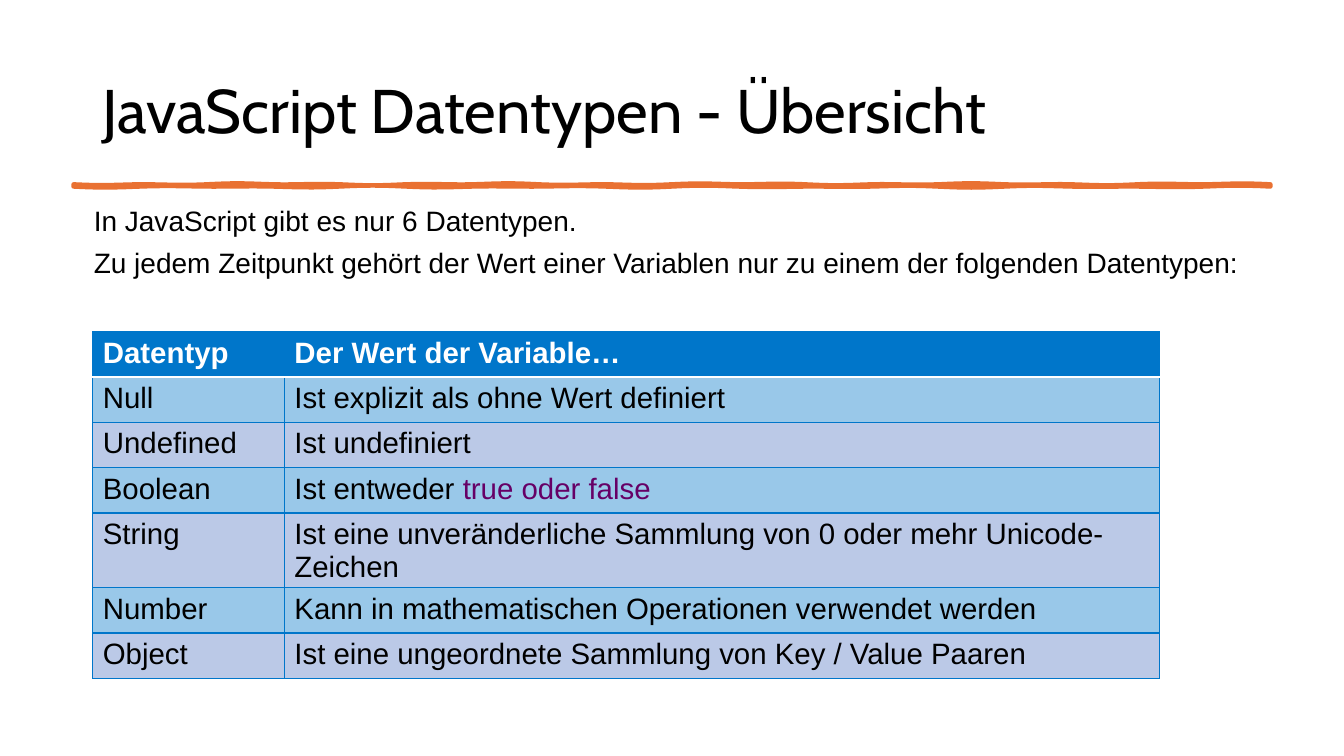
"""Build a slide that lists the JavaScript data types in a table."""
import math

import pptx
import pptx.dml.color
import pptx.enum.text
import pptx.oxml.ns
import pptx.util
from lxml import etree

Inches = pptx.util.Inches
Pt = pptx.util.Pt
RGB = pptx.dml.color.RGBColor
Anchor = pptx.enum.text.MSO_ANCHOR
Align = pptx.enum.text.PP_ALIGN
qn = pptx.oxml.ns.qn

BLACK = RGB(0, 0, 0)
WHITE = RGB(255, 255, 255)
BLUE = RGB(0x00, 0x76, 0xCA)
PALE = RGB(0xBB, 0xC9, 0xE7)
PURPLE = RGB(0x66, 0x00, 0x66)
ORANGE = RGB(0xE9, 0x71, 0x32)

TITLE = "JavaScript Datentypen - Übersicht"
INTRO = [
    "In JavaScript gibt es nur 6 Datentypen.",
    "Zu jedem Zeitpunkt gehört der Wert einer Variablen nur zu einem der folgenden Datentypen:",
]
HEADS = ("Datentyp", "Der Wert der Variable…")
TYPES = [
    ("Null", "Ist explizit als ohne Wert definiert"),
    ("Undefined", "Ist undefiniert"),
    ("Boolean", "Ist entweder ", "true oder false"),
    ("String", "Ist eine unveränderliche Sammlung von 0 oder mehr Unicode-Zeichen"),
    ("Number", "Kann in mathematischen Operationen verwendet werden"),
    ("Object", "Ist eine ungeordnete Sammlung von Key / Value Paaren"),
]

LEFT = 0.92
WIDTHS = (1.9, 8.68)
ROW = 0.45
TALL = 0.74
TALL_TYPE = "String"

WAVE = {"left": 0.73, "right": 12.6, "top": 1.83, "thick": 0.02}
STEPS = 120
SWING = 0.01
TOP_WAVES = (5, 13)
LOW_WAVES = (7, 11)

INTRO_BOX = {"margin_left": 0, "margin_right": 0, "margin_bottom": 0,
             "margin_top": Inches(0.1), "word_wrap": True,
             "vertical_anchor": Anchor.TOP}
CELL_BOX = {"margin_left": Inches(0.1), "margin_right": 0,
            "margin_bottom": 0, "margin_top": Inches(0.05),
            "vertical_anchor": Anchor.TOP}
TITLE_FONT = {"name": "Cabin", "size": Pt(44)}
INTRO_FONT = {"name": "Arial", "size": Pt(20)}
HEAD_FONT = {"name": "Arial", "size": Pt(21), "bold": True}
CELL_FONT = {"name": "Arial", "size": Pt(21), "bold": False}


def apply(item, form):
    for name, value in form.items():
        setattr(item, name, value)


def place(shape, left, top, width, height):
    apply(shape, {"left": Inches(left), "top": Inches(top),
                  "width": Inches(width), "height": Inches(height)})


def write(para, text, form, color=BLACK):
    run = para.add_run()
    run.text = text
    apply(run.font, form)
    run.font.color.rgb = color


def add_title(slide):
    title = slide.shapes.title
    place(title, LEFT, 0.4, 11.5, 1.45)
    title.text_frame.vertical_anchor = Anchor.MIDDLE
    para = title.text_frame.paragraphs[0]
    apply(para, {"alignment": Align.LEFT, "line_spacing": 0.9})
    write(para, TITLE, TITLE_FONT)


def wavy_edge(base, waves):
    """Sample a horizontal edge that swings as a sum of sine waves."""
    span = WAVE["right"] - WAVE["left"]
    edge = []
    for step in range(STEPS + 1):
        part = step / STEPS
        swing = sum(math.sin(2 * math.pi * count * part) for count in waves)
        edge.append((Inches(WAVE["left"] + span * part),
                     Inches(base + SWING * swing / len(waves))))
    return edge


def add_wave(slide):
    top = wavy_edge(WAVE["top"], TOP_WAVES)
    low = wavy_edge(WAVE["top"] + WAVE["thick"], LOW_WAVES)
    build = slide.shapes.build_freeform(*top[0])
    build.add_line_segments(top[1:] + low[::-1], close=True)
    wave = build.convert_to_shape()
    wave.shadow.inherit = False
    wave.fill.solid()
    wave.fill.fore_color.rgb = ORANGE
    wave.line.color.rgb = ORANGE
    wave.line.width = Pt(3.25)


def add_intro(slide):
    body = slide.placeholders[1]
    place(body, LEFT, 1.92, 11.72, 0.86)
    frame = body.text_frame
    apply(frame, INTRO_BOX)
    for index, text in enumerate(INTRO):
        para = frame.add_paragraph() if index else frame.paragraphs[0]
        props = para._p.get_or_add_pPr()
        props.set("marL", str(Inches(0.01)))
        props.set("indent", "0")
        etree.SubElement(props, qn("a:buNone"))
        para.space_before = Pt(6 if index else 0)
        write(para, text, INTRO_FONT)


def add_border(cell, side, color, width):
    props = cell._tc.get_or_add_tcPr()
    line = etree.SubElement(props, qn("a:ln" + side), w=str(Pt(width)))
    fill = etree.SubElement(line, qn("a:solidFill"))
    etree.SubElement(fill, qn("a:srgbClr"), val=str(color))


def frame_cell(cell, white_side):
    for side in "LRTB":
        if side == white_side:
            add_border(cell, side, WHITE, 1.5)
        else:
            add_border(cell, side, BLUE, 1)


def fill_cell(cell, color, alpha=100):
    cell.fill.solid()
    cell.fill.fore_color.rgb = color
    if alpha < 100:
        tint = cell._tc.tcPr.find(qn("a:solidFill")).find(qn("a:srgbClr"))
        etree.SubElement(tint, qn("a:alpha"), val=str(alpha * 1000))


def add_head(table):
    for col, text in enumerate(HEADS):
        cell = table.cell(0, col)
        apply(cell, CELL_BOX)
        frame_cell(cell, "B")
        fill_cell(cell, BLUE)
        write(cell.text_frame.paragraphs[0], text, HEAD_FONT, WHITE)


def add_type(table, row, name, text, code=""):
    for col, words in enumerate((name, text)):
        cell = table.cell(row, col)
        apply(cell, CELL_BOX)
        frame_cell(cell, "T" if row == 1 else "")
        if row % 2:
            fill_cell(cell, BLUE, alpha=40)
        else:
            fill_cell(cell, PALE)
        write(cell.text_frame.paragraphs[0], words, CELL_FONT)
    if code:
        write(cell.text_frame.paragraphs[0], code, CELL_FONT, PURPLE)


def add_types(slide):
    heights = [ROW] + [TALL if item[0] == TALL_TYPE else ROW for item in TYPES]
    table = slide.shapes.add_table(
        len(heights), len(WIDTHS), Inches(LEFT), Inches(3.29),
        Inches(sum(WIDTHS)), Inches(sum(heights))).table
    table.horz_banding = False
    for col, width in zip(table.columns, WIDTHS):
        col.width = Inches(width)
    for row, height in zip(table.rows, heights):
        row.height = Inches(height)
    add_head(table)
    for row, item in enumerate(TYPES, start=1):
        add_type(table, row, *item)


def main():
    deck = pptx.Presentation()
    apply(deck, {"slide_width": Inches(13.33), "slide_height": Inches(7.5)})
    slide = deck.slides.add_slide(deck.slide_layouts[1])
    add_title(slide)
    add_wave(slide)
    add_intro(slide)
    add_types(slide)
    deck.save("out.pptx")


if __name__ == "__main__":
    main()
